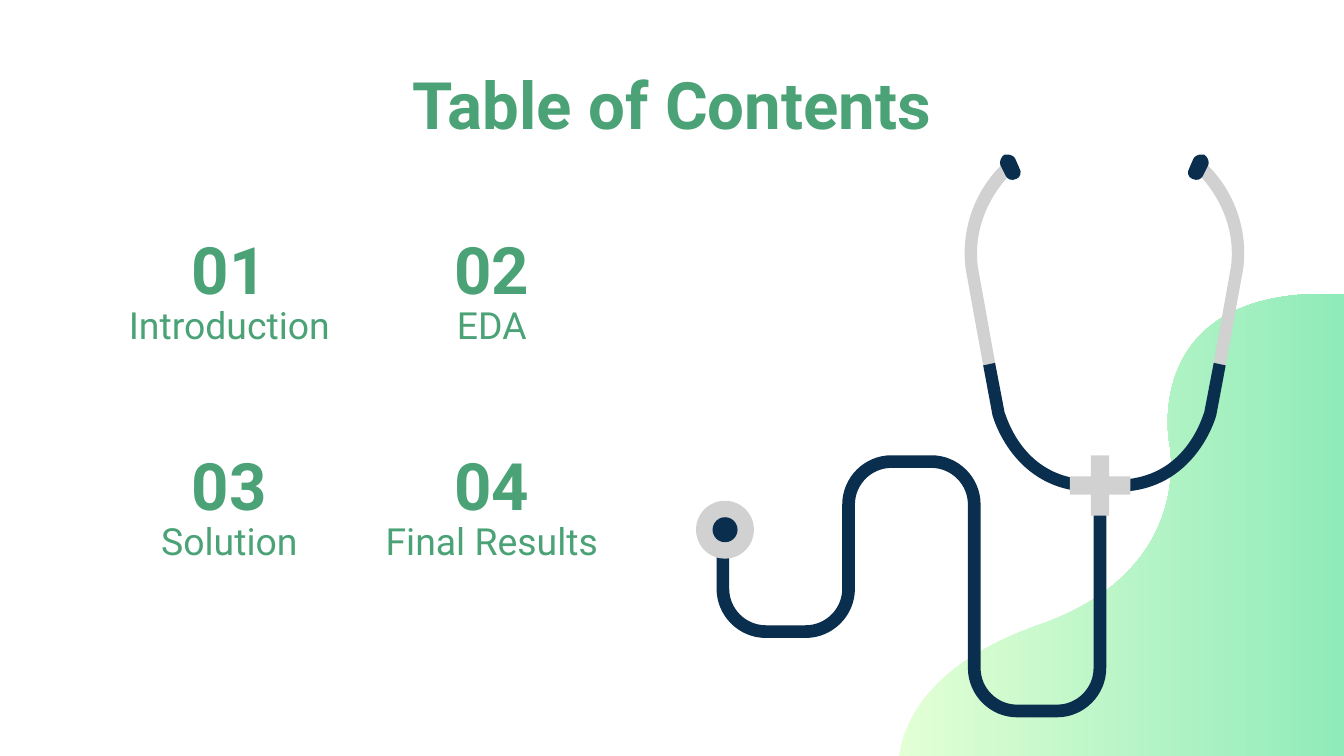
from lxml import etree
from pptx import Presentation
from pptx.dml.color import RGBColor
from pptx.enum import shapes, text
from pptx.oxml import ns
from pptx.util import Pt

C = {"green": "4AA276", "navy": "0A2E4E", "grey": "D1D1D1", "lime": "E3FFD5", "mint": "90EBBA"}


def paint(sp, color):
    sp.shadow.inherit = False
    sp.line.fill.background()
    sp.fill.solid()
    sp.fill.fore_color.rgb = RGBColor.from_string(C[color])


def outline(parent, steps, color):
    pts = [(Pt(q[i]), Pt(q[i + 1])) for q in steps for i in range(0, len(q), 2)]
    fb = parent.shapes.build_freeform(*pts[0])
    fb.add_line_segments(pts[1:], close=True)
    sp = fb.convert_to_shape()
    lines = iter(list(sp._element.iter(ns.qn("a:lnTo"))))
    for step in steps[1:]:
        line = next(lines)
        if len(step) == 6:
            curve = etree.Element(ns.qn("a:cubicBezTo"))
            line.addprevious(curve)
            for part in (line, next(lines), next(lines)):
                curve.append(part[0])
                part.getparent().remove(part)
    paint(sp, color)
    return sp


prs = Presentation()
prs.slide_width, prs.slide_height = Pt(720), Pt(405)
s = prs.slides.add_slide(prs.slide_layouts[6])

wave = outline(s, [
    (481.7, 405), (483.8, 388.1, 496.8, 355.7, 556.6, 334.8),
    (641.5, 305.3, 626.4, 236.9, 626.4, 236.9),
    (626.4, 236.9, 610.6, 151.9, 720, 157.7), (720, 405)], "mint")
wave.fill.gradient()
wave.fill.gradient_angle = 0
for stop, name, pos in zip(wave.fill.gradient_stops, ("lime", "mint"), (0, 1)):
    stop.color.rgb = RGBColor.from_string(C[name])
    stop.position = pos

labels = [("Table of Contents", 56.7, 42.8, 607, 25, 35, text.MSO_ANCHOR.MIDDLE)]
for i, topic in enumerate(("Introduction", "EDA", "Solution", "Final Results")):
    x, y = 56.7 + 140.6 * (i % 2), 115.8 + 115.4 * (i // 2)
    labels.append((f"{i + 1:02}", x, y, 132.5, 31.5, 35, text.MSO_ANCHOR.TOP))
    labels.append((topic, x, y + 39, 132.5, 25, 20, text.MSO_ANCHOR.TOP))

for label, x, y, w, h, size, anchor in labels:
    tf = s.shapes.add_textbox(Pt(x), Pt(y), Pt(w), Pt(h)).text_frame
    tf.word_wrap = True
    tf.vertical_anchor = anchor
    tf.margin_left = tf.margin_right = tf.margin_top = tf.margin_bottom = Pt(7.2)
    p = tf.paragraphs[0]
    p.text = label
    p.alignment = text.PP_ALIGN.CENTER
    p.font.name = "Roboto"
    p.font.size = Pt(size)
    p.font.bold = size == 35
    p.font.color.rgb = RGBColor.from_string(C["green"])

stethoscope = s.shapes.add_group_shape()
arm = [
    ("grey", [(643, 86.4), (640.1, 86.4, 637.9, 90, 640.8, 92.2),
              (640.8, 92.2, 663.1, 111.6, 659.5, 142.6), (650.2, 194.4), (656.6, 195.8),
              (666, 144), (670.3, 108.7, 646.6, 87.8, 645.1, 87.1),
              (644.4, 86.4, 643.7, 86.4, 643, 86.4)]),
    ("navy", [(650.2, 194.4), (645.1, 221), (644.4, 221.8, 635.8, 257, 598.3, 257),
              (596.2, 257, 594.7, 257, 593.3, 256.3), (591, 256.3, 589.5, 257.8, 589, 259.9),
              (589, 261.4, 590.4, 263.5, 592.6, 263.5), (598.3, 263.5),
              (640.8, 263.5, 651.6, 222.5, 651.6, 222.5), (656.6, 195.8)]),
    ("navy", [(643.7, 82.8), (642.2, 82.8, 640.1, 83.5, 639.4, 85), (637.2, 90),
              (635.8, 92.2, 636.5, 95, 638.6, 95.8), (641.5, 97.2, 643.5, 96, 644.4, 94.3),
              (647.3, 88.6), (648, 87.1, 647.3, 84.2, 645.1, 82.8)]),
]
for mirrored in (False, True):
    for color, steps in arm:
        if mirrored:
            steps = [tuple(v if i % 2 else 1183.3 - v for i, v in enumerate(q)) for q in steps]
        outline(stethoscope, steps, color)

tube = [(383.9, 270.7)]
turns = list(enumerate((338.4, 247.3, 380.9)))
for d, order in ((-3.4, turns), (3.4, turns[::-1])):
    for i, turn in order:
        sign = (-1) ** i
        a = 387.3 + 67.33 * i + d * sign
        b = 387.3 + 67.33 * (i + 1) - d * sign
        y, r = turn - d, 23 - d * sign
        k = r * 0.45
        bend = [(a, y - sign * r), (a, y - sign * k), (a + k, y), (a + r, y),
                (b - r, y), (b - k, y), (b, y - sign * k), (b, y - sign * r)]
        if d > 0:
            bend.reverse()
        tube += [bend[0], sum(bend[1:4], ()), bend[4], sum(bend[5:], ())]
    tube += [(592.7, 263.5), (585.9, 263.5)] if d < 0 else [(390.7, 270.7)]
outline(stethoscope, tube, "navy")

for kind, cx, cy, size, color in (
        (shapes.MSO_SHAPE.CROSS, 589.3, 260.1, 32.4, "grey"),
        (shapes.MSO_SHAPE.OVAL, 388.4, 283.8, 31, "grey"),
        (shapes.MSO_SHAPE.OVAL, 388.4, 283.8, 13.4, "navy")):
    sp = stethoscope.shapes.add_shape(kind, Pt(cx - size / 2), Pt(cy - size / 2), Pt(size), Pt(size))
    paint(sp, color)
    if kind == shapes.MSO_SHAPE.CROSS:
        sp.adjustments[0] = 0.35

prs.save("out.pptx")
